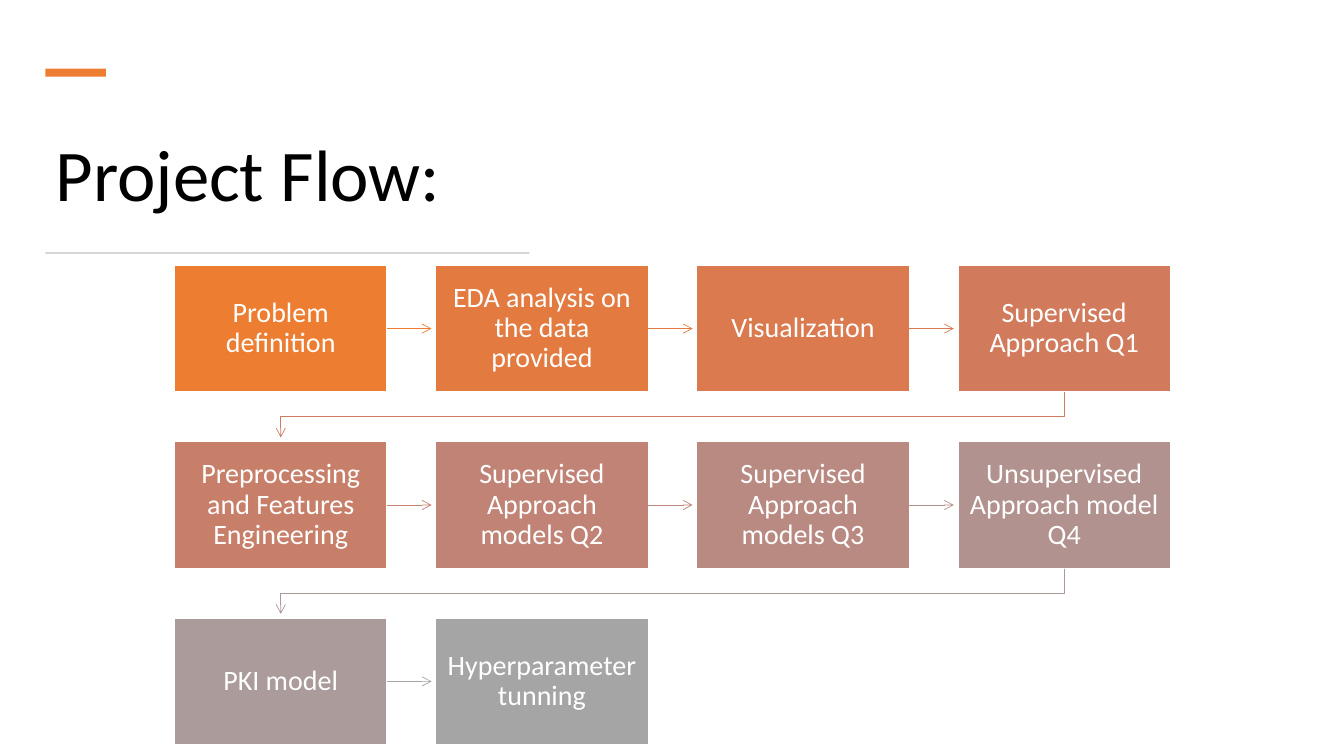
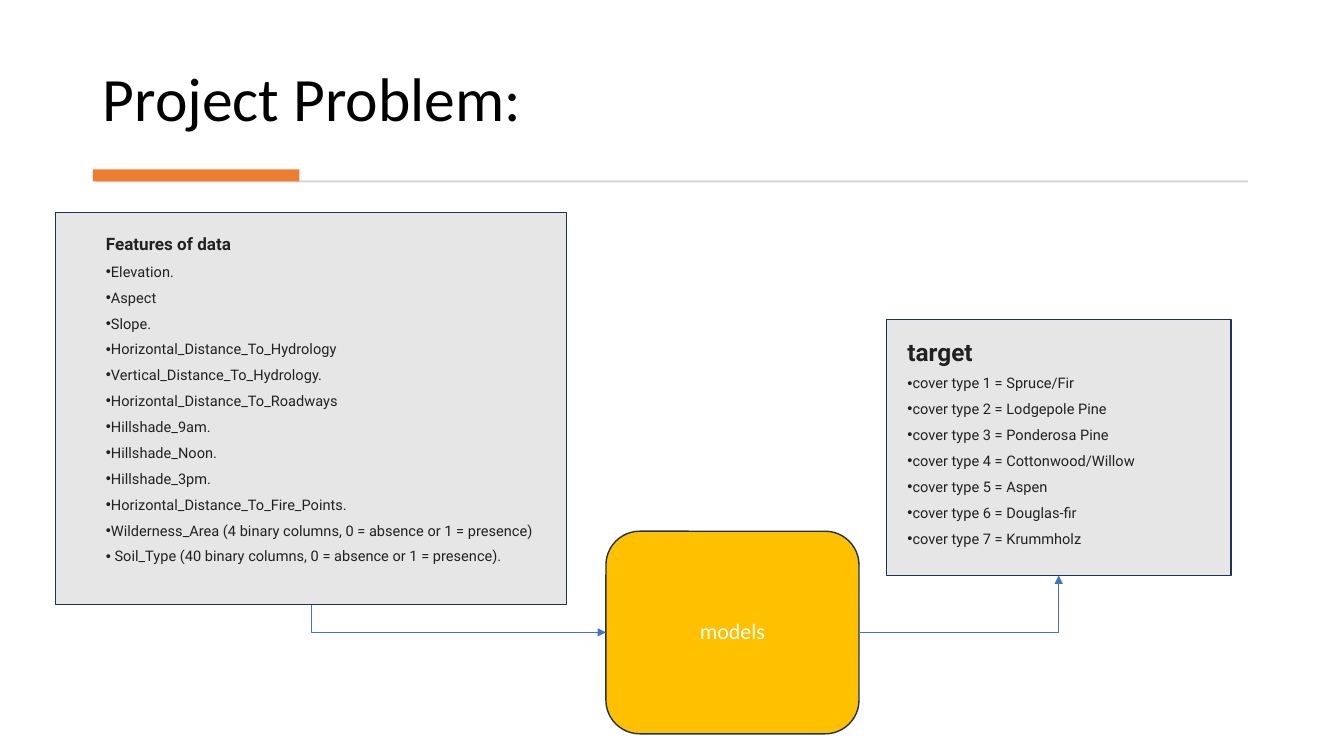
"""Build the two project slides: the project flow and the project problem."""
from dataclasses import dataclass

from pptx import Presentation
from pptx.dml.color import RGBColor
from pptx.enum.shapes import MSO_CONNECTOR as Link, MSO_SHAPE as Preset
from pptx.enum.text import MSO_ANCHOR as Anchor, MSO_AUTO_SIZE as AutoSize, PP_ALIGN as Align
from pptx.oxml.ns import qn
from pptx.oxml.xmlchemy import OxmlElement
from pptx.util import Inches, Pt


@dataclass(frozen=True)
class Theme:
    accent: str = "ED7D31"
    rule: str = "D5D5D5"
    black: str = "000000"
    white: str = "FFFFFF"
    ink: str = "212121"
    panel: str = "E7E6E6"
    outline: str = "1E3256"
    models: str = "FFC000"
    link: str = "4472C4"
    font: str = "Calibri"
    list_font: str = "Roboto"
    flow_title: float = 52
    problem_title: float = 44
    step: float = 20
    model_text: float = 15.7
    item: float = 10.4
    hairline: float = 0.5
    border: float = 1


@dataclass(frozen=True)
class Box:
    left: float
    top: float
    width: float
    height: float

    @property
    def right(self) -> float:
        return self.left + self.width

    @property
    def bottom(self) -> float:
        return self.top + self.height

    @property
    def center(self) -> float:
        return self.left + self.width / 2

    @property
    def middle(self) -> float:
        return self.top + self.height / 2

    def lengths(self) -> tuple:
        return tuple(Inches(v) for v in (self.left, self.top, self.width, self.height))


@dataclass(frozen=True)
class Step:
    label: str
    fill: str
    arrow: str = ""


@dataclass(frozen=True)
class Listing:
    heading: str
    heading_size: float
    items: tuple
    box: Box
    margin_left: float
    margin_top: float


THEME = Theme()
COLUMNS = 4
FIRST_STEP = Box(1.73, 2.63, 2.11, 1.26)
STEP_PITCH_X, STEP_PITCH_Y = 2.59, 1.75
ARROW_GAP = 0.04

STEPS = (
    Step("Problem definition", "ED7D31", "ED7D31"),
    Step("EDA analysis on the data provided", "E37A40", "E27A42"),
    Step("Visualization", "DA7A4E", "D87A51"),
    Step("Supervised Approach Q1", "D17B5C", "CE7C61"),
    Step("Preprocessing and Features Engineering", "C87F69", "C48170"),
    Step("Supervised Approach models Q2", "C08376", "BC877E"),
    Step("Supervised Approach models Q3", "B98A82", "B4908B"),
    Step("Unsupervised Approach model Q4", "B2928E", "AC9A99"),
    Step("PKI model", "AB9B9A", "A5A5A5"),
    Step("Hyperparameter tunning", "A5A5A5"),
)

FEATURES = Listing("Features of data", 12.2, (
    "Elevation.",
    "Aspect",
    "Slope.",
    "Horizontal_Distance_To_Hydrology",
    "Vertical_Distance_To_Hydrology.",
    "Horizontal_Distance_To_Roadways",
    "Hillshade_9am.",
    "Hillshade_Noon.",
    "Hillshade_3pm.",
    "Horizontal_Distance_To_Fire_Points.",
    "Wilderness_Area (4 binary columns, 0 = absence or 1 = presence)",
    " Soil_Type (40 binary columns, 0 = absence or 1 = presence).",
), Box(0.55, 2.11, 5.07, 3.89), 0.5, 0.21)

COVER_TYPES = ("Spruce/Fir", "Lodgepole Pine", "Ponderosa Pine", "Cottonwood/Willow",
               "Aspen", "Douglas-fir", "Krummholz")
TARGET = Listing("target", 17.4, tuple(
    f"cover type {number} = {name}" for number, name in enumerate(COVER_TYPES, 1)
), Box(8.79, 3.17, 3.42, 2.54), 0.21, 0.17)


def rgb(color: str) -> RGBColor:
    return RGBColor.from_string(color)


def style_runs(paragraph, size: float, color: str, font: str, bold: bool = False) -> None:
    for run in paragraph.runs:
        run.font.size = Pt(size)
        run.font.color.rgb = rgb(color)
        run.font.name = font
        run.font.bold = bold


def paint(shape, fill: str, outline: str = "") -> None:
    shape.fill.solid()
    shape.fill.fore_color.rgb = rgb(fill)
    if outline:
        shape.line.color.rgb = rgb(outline)
        shape.line.width = Pt(THEME.border)
    else:
        shape.line.fill.background()


def place(shape, box: Box) -> None:
    shape.left, shape.top, shape.width, shape.height = box.lengths()


def add_block(slide, box: Box, fill: str, outline: str = "", preset=Preset.RECTANGLE):
    block = slide.shapes.add_shape(preset, *box.lengths())
    block.shadow.inherit = False
    paint(block, fill, outline)
    return block


def set_label(block, text: str, size: float, margins: tuple = (0.1, 0.05)) -> None:
    frame = block.text_frame
    frame.word_wrap = True
    frame.vertical_anchor = Anchor.MIDDLE
    frame.margin_left = frame.margin_right = Inches(margins[0])
    frame.margin_top = frame.margin_bottom = Inches(margins[1])
    frame.text = text
    paragraph = frame.paragraphs[0]
    paragraph.alignment = Align.CENTER
    paragraph.line_spacing = 0.9
    style_runs(paragraph, size, THEME.white, THEME.font)


def set_title(slide, text: str, box: Box, size: float, anchor) -> None:
    title = slide.shapes.title
    place(title, box)
    frame = title.text_frame
    frame.auto_size = AutoSize.NONE
    frame.vertical_anchor = anchor
    frame.text = text
    paragraph = frame.paragraphs[0]
    paragraph.alignment = Align.LEFT
    paragraph.line_spacing = 0.9
    style_runs(paragraph, size, THEME.black, THEME.font)


def style_arrow(arrow, color: str, head: str, end: str = "a:tailEnd") -> None:
    arrow.line.color.rgb = rgb(color)
    arrow.line.width = Pt(THEME.hairline)
    tip = OxmlElement(end)
    tip.set("type", head)
    arrow.line._get_or_add_ln().append(tip)


def add_link(slide, kind, start: tuple, finish: tuple):
    link = slide.shapes.add_connector(kind, *(Inches(v) for v in start + finish))
    return link


def drop_shadow(link) -> None:
    link._element.spPr.append(OxmlElement("a:effectLst"))


def add_row_arrow(slide, step: Box, color: str) -> None:
    start = (step.right, step.middle)
    finish = (step.left + STEP_PITCH_X - ARROW_GAP, step.middle)
    arrow = add_link(slide, Link.STRAIGHT, start, finish)
    style_arrow(arrow, color, "arrow")
    drop_shadow(arrow)


def add_return_arrow(slide, step: Box, target: Box, color: str) -> None:
    halfway = (step.bottom + target.top) / 2
    points = ((step.center, step.bottom), (step.center, halfway),
              (target.center, halfway), (target.center, target.top - ARROW_GAP))
    corners = [(Inches(x), Inches(y)) for x, y in points]
    builder = slide.shapes.build_freeform(*corners[0])
    builder.add_line_segments(corners[1:], close=False)
    arrow = builder.convert_to_shape()
    arrow.shadow.inherit = False
    arrow.fill.background()
    style_arrow(arrow, color, "arrow")


def step_box(index: int) -> Box:
    row, column = divmod(index, COLUMNS)
    return Box(FIRST_STEP.left + column * STEP_PITCH_X, FIRST_STEP.top + row * STEP_PITCH_Y,
               FIRST_STEP.width, FIRST_STEP.height)


def add_corner_link(slide, models, models_site: int, panel, end: str) -> None:
    link = add_link(slide, Link.ELBOW, (0, 0), (1, 1))
    link.begin_connect(models, models_site)
    link.end_connect(panel, 2)
    link._element.spPr.find(qn("a:prstGeom")).set("prst", "bentConnector2")
    style_arrow(link, THEME.link, "triangle", end)
    drop_shadow(link)


def set_bullet(paragraph, bullet: str) -> None:
    properties = paragraph._p.get_or_add_pPr()
    properties.set("marL", "0")
    properties.set("indent", "0")
    mark = OxmlElement("a:buChar" if bullet else "a:buNone")
    if bullet:
        mark.set("char", bullet)
    properties.append(mark)


def fill_listing(panel, listing: Listing) -> None:
    place(panel, listing.box)
    paint(panel, THEME.panel, THEME.outline)
    frame = panel.text_frame
    frame.auto_size = AutoSize.NONE
    frame.word_wrap = True
    frame.vertical_anchor = Anchor.TOP
    frame.margin_left = Inches(listing.margin_left)
    frame.margin_top = Inches(listing.margin_top)
    frame.margin_right = Inches(0.2)
    frame.text = "\n".join((listing.heading,) + listing.items)
    for index, paragraph in enumerate(frame.paragraphs):
        is_heading = index == 0
        set_bullet(paragraph, "" if is_heading else "•")
        paragraph.space_before = Pt(0)
        paragraph.space_after = Pt(6)
        size = listing.heading_size if is_heading else THEME.item
        style_runs(paragraph, size, THEME.ink, THEME.list_font, is_heading)


def build_flow(deck) -> None:
    slide = deck.slides.add_slide(deck.slide_layouts[5])
    set_title(slide, "Project Flow:", Box(0.45, 1.15, 11.5, 1.24), THEME.flow_title, Anchor.MIDDLE)
    add_block(slide, Box(0.45, 0.68, 0.6, 0.08), THEME.accent)
    add_block(slide, Box(0.45, 2.5, 4.8, 0.02), THEME.rule)
    for index, step in enumerate(STEPS):
        box = step_box(index)
        block = add_block(slide, box, step.fill, THEME.white)
        set_label(block, step.label, THEME.step, (0.1, 0.11))
        if not step.arrow:
            continue
        if (index + 1) % COLUMNS:
            add_row_arrow(slide, box, step.arrow)
        else:
            add_return_arrow(slide, box, step_box(index + 1), step.arrow)


def build_problem(deck) -> None:
    slide = deck.slides.add_slide(deck.slide_layouts[3])
    set_title(slide, "Project Problem:", Box(0.92, 0.28, 11.49, 1.11), THEME.problem_title, Anchor.BOTTOM)
    add_block(slide, Box(0.95, 1.79, 11.43, 0.02), THEME.rule)
    add_block(slide, Box(0.92, 1.68, 2.05, 0.12), THEME.accent)
    features, target = slide.placeholders[1], slide.placeholders[2]
    fill_listing(features, FEATURES)
    fill_listing(target, TARGET)
    models = add_block(slide, Box(6.01, 5.27, 2.51, 2.01), THEME.models, THEME.outline,
                       Preset.ROUNDED_RECTANGLE)
    set_label(models, "models", THEME.model_text)
    add_corner_link(slide, models, 1, features, "a:headEnd")
    add_corner_link(slide, models, 3, target, "a:tailEnd")


def main() -> None:
    deck = Presentation()
    deck.slide_width, deck.slide_height = Inches(13.33), Inches(7.5)
    build_flow(deck)
    build_problem(deck)
    deck.save("out.pptx")


if __name__ == "__main__":
    main()
